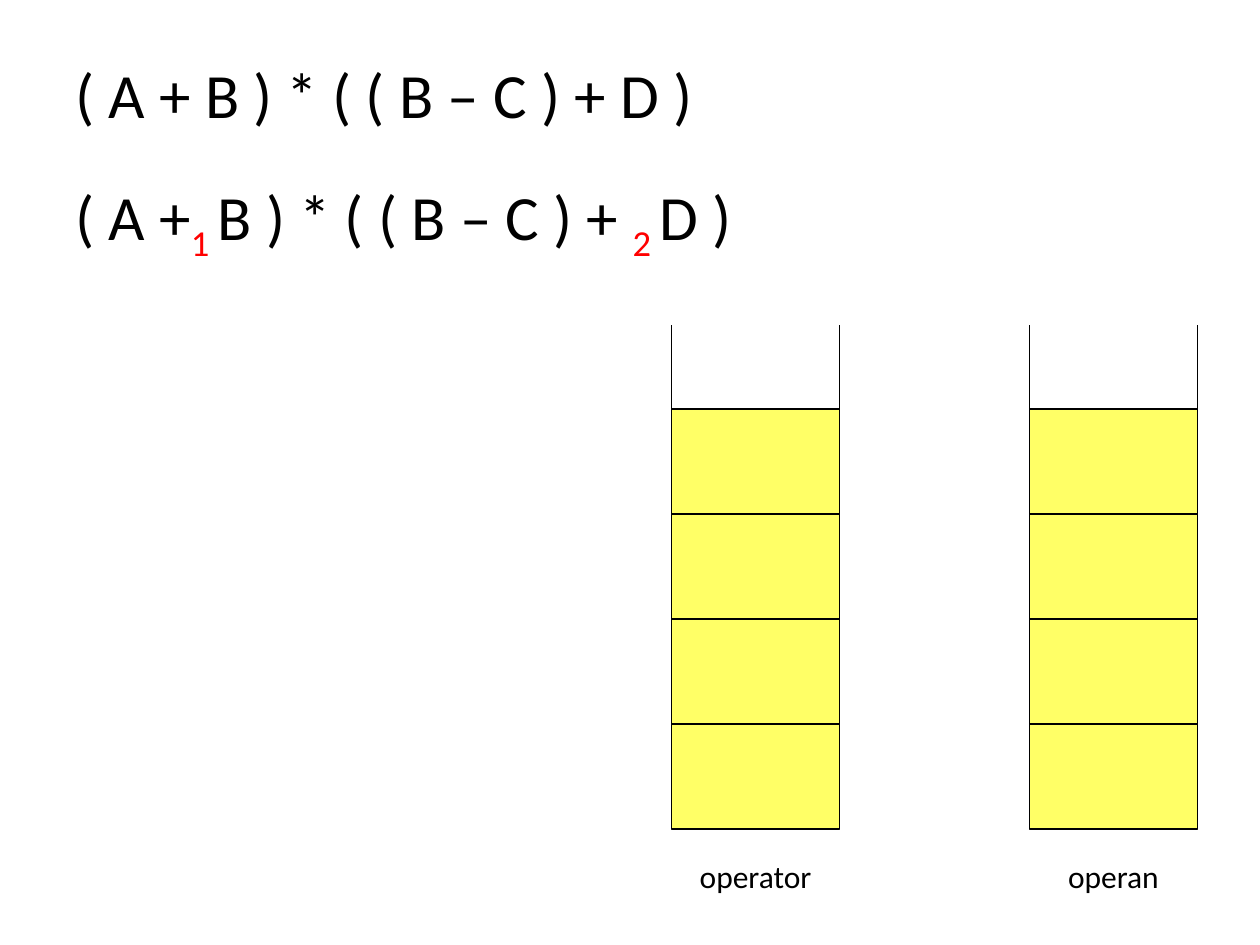
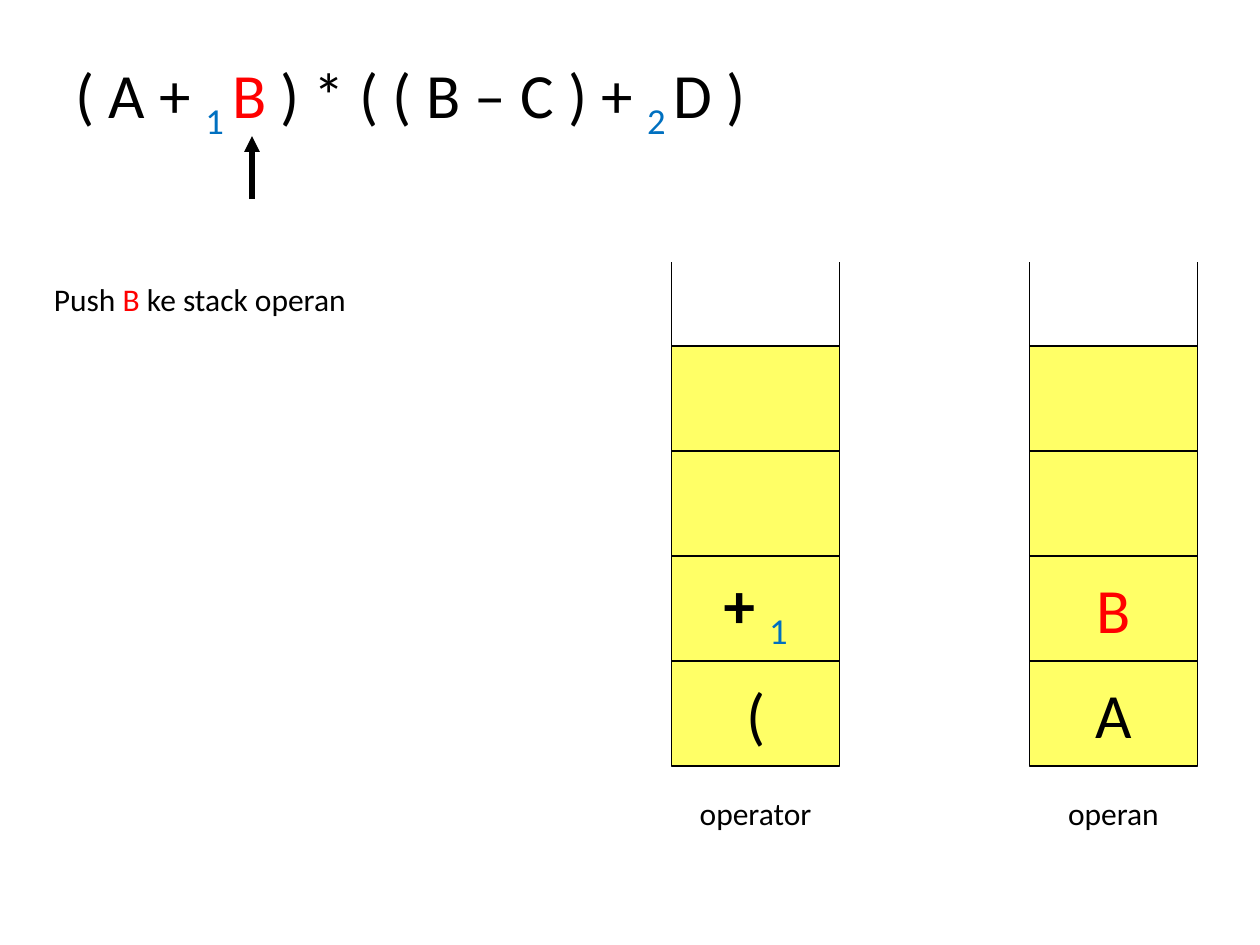
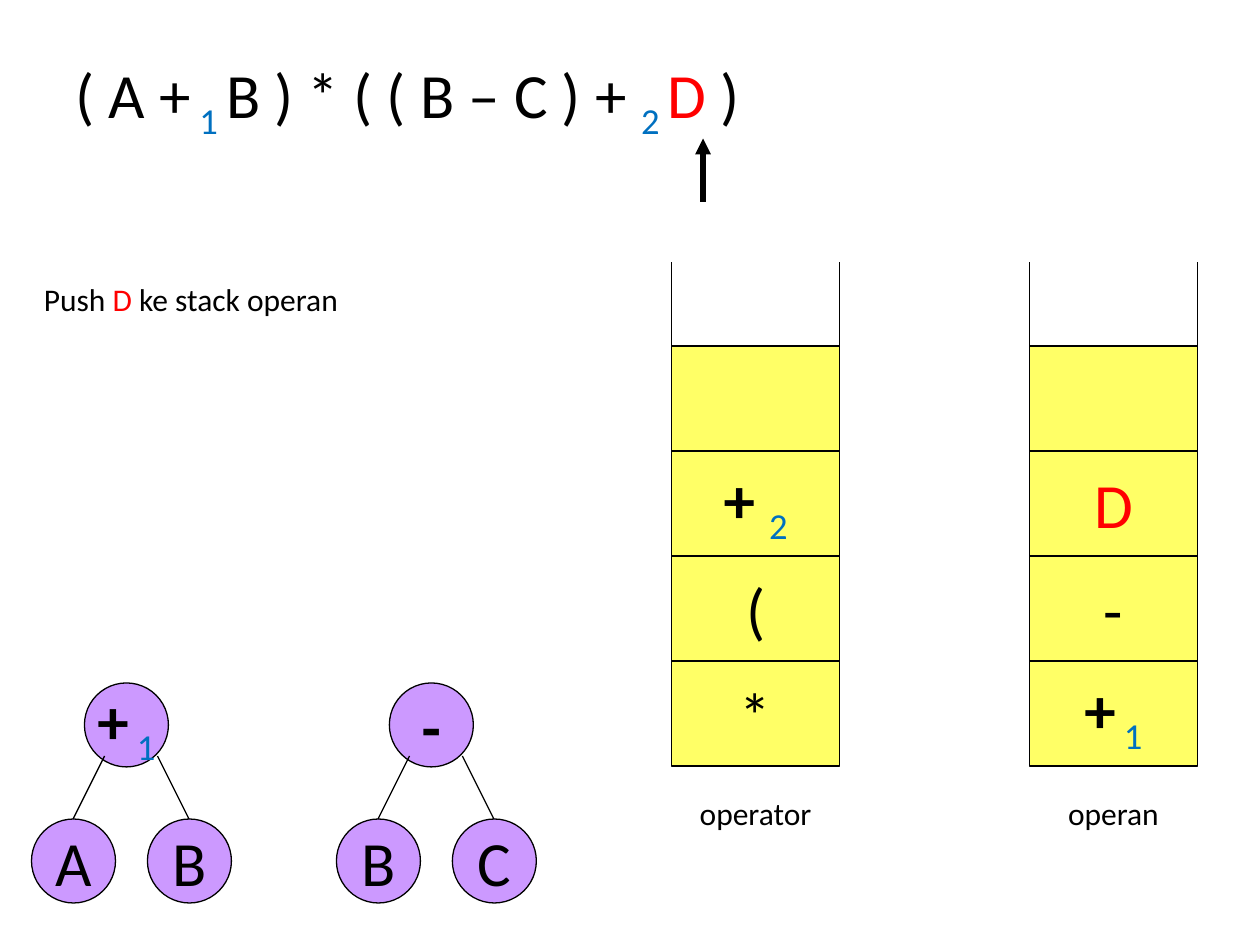
from dataclasses import dataclass

from pptx import Presentation
from pptx.dml.color import RGBColor
from pptx.enum.shapes import MSO_CONNECTOR, MSO_SHAPE
from pptx.enum.text import MSO_ANCHOR, MSO_AUTO_SIZE, PP_ALIGN
from pptx.oxml.ns import qn
from pptx.util import Inches, Pt
from lxml import etree

RECT, OVAL = MSO_SHAPE.RECTANGLE, MSO_SHAPE.OVAL
LINE = MSO_CONNECTOR.STRAIGHT
TOP, MIDDLE = MSO_ANCHOR.TOP, MSO_ANCHOR.MIDDLE
LEFT, CENTER = PP_ALIGN.LEFT, PP_ALIGN.CENTER
FIXED = MSO_AUTO_SIZE.NONE


@dataclass(frozen=True)
class Theme:
    font: str = "Calibri"
    ink: str = "000000"
    hot: str = "FF0000"
    mark: str = "0070C0"
    cell: str = "FFFF66"
    node: str = "CC99FF"
    big: int = 36
    small: int = 18
    thin: float = 0.75
    thick: float = 3


THEME = Theme()

# Run styles: colour, bold, subscript
STYLES = {
    "plain": (THEME.ink, False, False),
    "bold": (THEME.ink, True, False),
    "hot": (THEME.hot, False, False),
    "sub": (THEME.mark, False, True),
    "hotsub": (THEME.hot, False, True),
}

# Stack and tree measures in inches
WIDE, LIP, CELL, GAP = 4 / 3, 2 / 3, 2.5 / 3, 0.17
NODE = 2 / 3
STACKS = (("operator", 5.33), ("operan", 8.17))


def color(code):
    return RGBColor.from_string(code)


def write(shape, runs, size, align=LEFT, anchor=TOP, wrap=True):
    """Fill a frame from (text, style) pairs; a bare string is plain."""
    frame = shape.text_frame
    frame.word_wrap = wrap
    frame.auto_size = FIXED
    frame.vertical_anchor = anchor
    para = frame.paragraphs[0]
    para.alignment = align
    for part in runs:
        text, style = (part, "plain") if isinstance(part, str) else part
        ink, bold, sub = STYLES[style]
        run = para.add_run()
        run.text = text
        font = run.font
        font.name, font.size, font.bold = THEME.font, Pt(size), bold
        font.color.rgb = color(ink)
        if sub:
            run._r.get_or_add_rPr().set("baseline", "-25000")


def label(slide, box, runs, size=THEME.small, align=LEFT):
    shape = slide.shapes.add_textbox(*map(Inches, box))
    write(shape, runs, size, align)


def block(shapes, kind, box, fill, runs):
    shape = shapes.add_shape(kind, *map(Inches, box))
    shape.shadow.inherit = False
    shape.fill.solid()
    shape.fill.fore_color.rgb = color(fill)
    shape.line.color.rgb = color(THEME.ink)
    shape.line.width = Pt(THEME.thin)
    if runs:
        write(shape, runs, THEME.big, CENTER, MIDDLE, wrap=False)


def rule(shapes, start, end, width=THEME.thin, arrow=False):
    line = shapes.add_connector(LINE, *map(Inches, (*start, *end)))
    line.line.color.rgb = color(THEME.ink)
    line.line.width = Pt(width)
    if arrow:
        etree.SubElement(line.line._get_or_add_ln(), qn("a:tailEnd"), type="triangle")
    etree.SubElement(line._element.spPr, qn("a:effectLst"))


def stack(slide, left, top, name, items):
    """Open-topped stack of four cells; items run from the bottom up."""
    for x in (left, left + WIDE):
        rule(slide.shapes, (x, top), (x, top + LIP))
    for row in range(4):
        runs = items[row] if row < len(items) else ()
        y = top + LIP + (3 - row) * CELL
        block(slide.shapes, RECT, (left, y, WIDE, CELL), THEME.cell, runs)
    base = top + LIP + 4 * CELL
    label(slide, (left, base + GAP, WIDE, 0.5), [name], align=CENTER)


def stacks(slide, top, *loads):
    for (name, left), items in zip(STACKS, loads):
        stack(slide, left, top, name, items)


def tree(slide, left, top, root, kids):
    """Root node with two children, kept as one group."""
    shapes = slide.shapes.add_group_shape().shapes
    drop = 1.08
    nodes = ((0.42, 0, root), (0, drop, kids[0]), (0.92, drop, kids[1]))
    for x, y, runs in nodes:
        block(shapes, OVAL, (left + x, top + y, NODE, NODE), THEME.node, runs)
    for x, end in ((0.58, 0.33), (1, 1.25)):
        rule(shapes, (left + x, top + 0.58), (left + end, top + drop))


def page(deck, runs, width=5.74):
    """New slide with the expression as its title."""
    slide = deck.slides.add_slide(deck.slide_layouts[5])
    title = slide.shapes.title
    title.left, title.top = Inches(0.5), Inches(0.39)
    title.width, title.height = Inches(width), Inches(0.71)
    write(title, runs, THEME.big)
    return slide


def step(deck, runs, arrow, note, loads):
    """One push: expression, pointer, note and both stacks."""
    slide = page(deck, runs)
    x, y = arrow
    rule(slide.shapes, (x, y + 0.5), (x, y), THEME.thick, arrow=True)
    left, char = note
    label(slide, (left, 2.17, 2.8, 0.4), ["Push ", (char + " ", "hot"), "ke stack operan"])
    stacks(slide, 2.08, *loads)
    return slide


def main():
    deck = Presentation()
    deck.slide_width, deck.slide_height = Inches(10), Inches(7.5)

    # Expression, numbered operators and empty stacks
    slide = page(deck, ["( A + B ) * ( ( B – C ) + D )"], 5.86)
    label(slide, (0.5, 1.36, 5.67, 0.71),
          ["( A +", ("1 ", "hotsub"), "B ) * ( ( B – C ) + ", ("2 ", "hotsub"), "D )"],
          THEME.big)
    stacks(slide, 2.58, (), ())

    # Push B
    step(deck,
         ["( A + ", ("1 ", "sub"), ("B", "hot"), " ) * ( ( B – C ) + ", ("2 ", "sub"), "D )"],
         (2, 1.08), (0.33, "B"),
         (["(", [("+ ", "bold"), ("1", "sub")]], ["A", [("B", "hot")]]))

    # Push D, with the subtrees built so far
    plus = [("+", "bold"), (" 1", "sub")]
    slide = step(deck,
                 ["( A +", (" 1 ", "sub"), "B ) * ( ( B – C ) + ", ("2 ", "sub"),
                  ("D", "hot"), " )"],
                 (5.58, 1.1), (0.25, "D"),
                 (["*", "(", [("+ ", "bold"), ("2", "sub")]],
                  [plus, "-", [("D", "hot")]]))
    tree(slide, 0.25, 5.42, plus, "AB")
    tree(slide, 2.67, 5.42, [("-", "bold")], "BC")

    deck.save("out.pptx")


if __name__ == "__main__":
    main()
